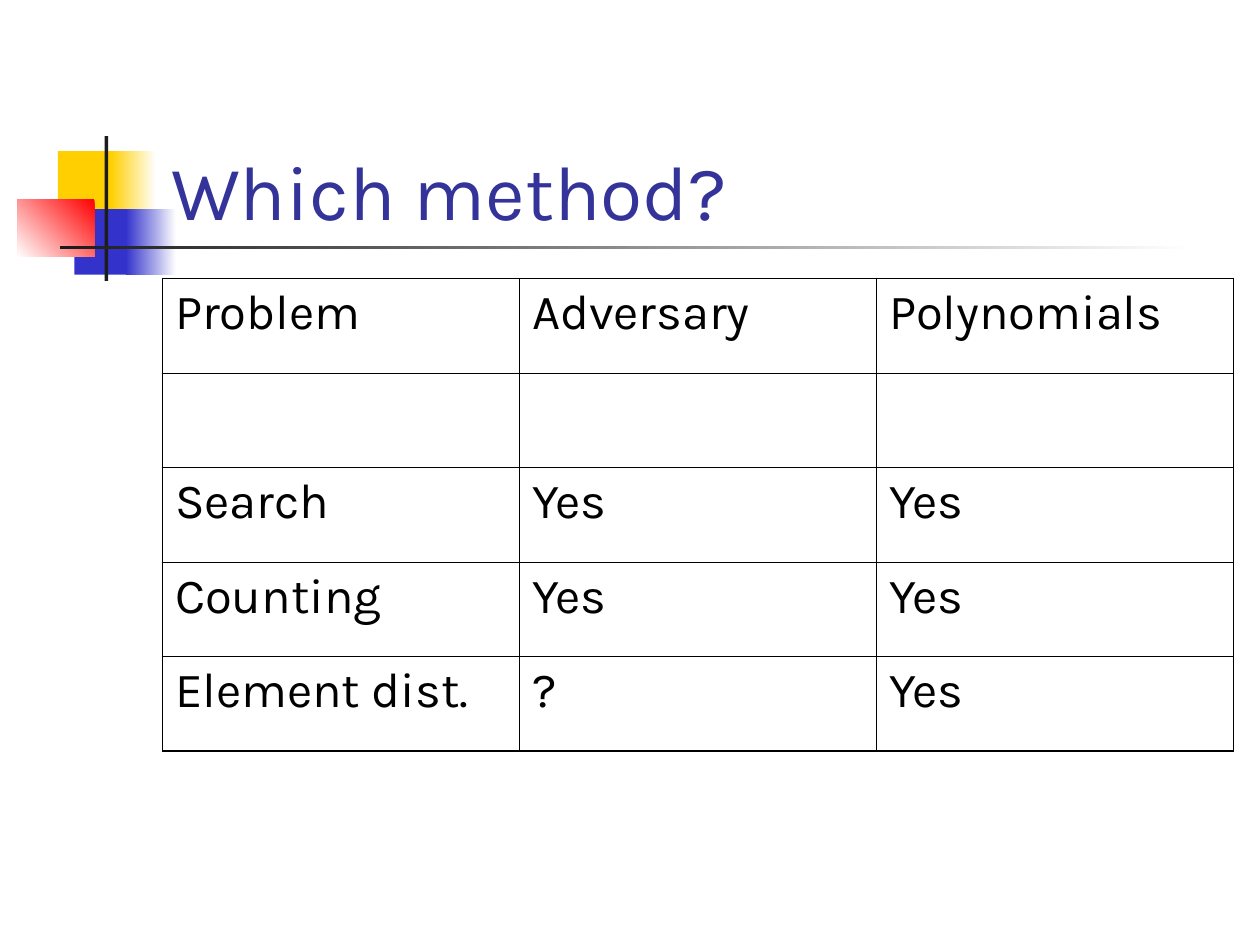
from lxml.etree import SubElement
from pptx import Presentation
from pptx.dml.color import RGBColor
from pptx.enum.shapes import MSO_SHAPE
from pptx.enum.text import MSO_ANCHOR
from pptx.oxml.ns import qn
from pptx.util import Inches, Pt

FONT = "Karla"
COLORS = {
    "white": "FFFFFF", "yellow": "FFCF01", "blue": "3333CC", "red": "FF0000",
    "charcoal": "1C1C1C", "title": "333399", "black": "000000",
}
TITLE = "Which method?"
METHODS = [
    ("Problem", "Adversary", "Polynomials"),
    ("", "", ""),
    ("Search", "Yes", "Yes"),
    ("Counting", "Yes", "Yes"),
    ("Element dist.", "?", "Yes"),
]
# left, top, width, height, start colour, end colour (None if solid),
# counter-clockwise gradient angle
ORNAMENTS = [
    (0.46, 1.2, 0.48, 0.52, "yellow", None, 0),
    (0.88, 1.2, 0.36, 0.52, "white", "yellow", 180),
    (0.59, 1.66, 0.46, 0.52, "blue", None, 0),
    (1, 1.66, 0.4, 0.52, "white", "blue", 180),
    (0.14, 1.58, 0.61, 0.46, "red", "white", 225),
    (0.83, 1.08, 0.03, 1.15, "charcoal", None, 0),
    (0.48, 1.95, 9, 0.03, "white", "charcoal", 180),
]
TABLE_LEFT, TABLE_TOP = 1.29, 2.21
COLUMN_WIDTH, ROW_HEIGHT = 8.5 / 3, 0.75
OUTER_BORDER, INNER_BORDER = 1.08, 0.45


def rgb(name):
    return RGBColor.from_string(COLORS[name])


def add_ornament(slide, left, top, width, height, start, end, angle):
    block = slide.shapes.add_shape(
        MSO_SHAPE.RECTANGLE, Inches(left), Inches(top), Inches(width), Inches(height))
    block.shadow.inherit = False
    block.line.fill.background()
    if end is None:
        block.fill.solid()
        block.fill.fore_color.rgb = rgb(start)
    else:
        block.fill.gradient()
        block.fill.gradient_angle = angle
        for stop, color in zip(block.fill.gradient_stops, (start, end)):
            stop.color.rgb = rgb(color)


def format_text(paragraph, size, color):
    for run in paragraph.runs:
        run.font.name = FONT
        run.font.size = Pt(size)
        run.font.color.rgb = rgb(color)


def add_title(slide):
    title = slide.shapes.add_textbox(Inches(1.26), Inches(0.67), Inches(8.52), Inches(1.25))
    frame = title.text_frame
    frame.word_wrap = True
    frame.vertical_anchor = MSO_ANCHOR.BOTTOM
    frame.text = TITLE
    format_text(frame.paragraphs[0], 44, "title")


def set_borders(cell, outer_sides):
    """Draw all four borders, heavier on the sides along the table's edge."""
    properties = cell._tc.get_or_add_tcPr()
    for index, side in enumerate("LRTB"):
        width = OUTER_BORDER if side in outer_sides else INNER_BORDER
        border = SubElement(properties, qn(f"a:ln{side}"), w=str(Pt(width)))
        fill = SubElement(border, qn("a:solidFill"))
        SubElement(fill, qn("a:srgbClr"), val=COLORS["black"])
        properties.insert(index, border)


def add_method_table(slide):
    row_count, column_count = len(METHODS), len(METHODS[0])
    table = slide.shapes.add_table(
        row_count, column_count, Inches(TABLE_LEFT), Inches(TABLE_TOP),
        Inches(COLUMN_WIDTH * column_count), Inches(ROW_HEIGHT * row_count)).table
    table.first_row = table.horz_banding = False
    for r, row in enumerate(METHODS):
        for c, text in enumerate(row):
            cell = table.cell(r, c)
            cell.fill.background()
            paragraph = cell.text_frame.paragraphs[0]
            if text:
                paragraph.text = text
                paragraph.space_before = Pt(7)
                format_text(paragraph, 28, "black")
            edges = {"L": c == 0, "R": c == column_count - 1,
                     "T": r == 0, "B": r == row_count - 1}
            set_borders(cell, [side for side, is_outer in edges.items() if is_outer])


def main():
    presentation = Presentation()
    presentation.slide_width, presentation.slide_height = Inches(10), Inches(7.5)
    slide = presentation.slides.add_slide(presentation.slide_layouts[6])
    slide.background.fill.solid()
    slide.background.fill.fore_color.rgb = rgb("white")
    for ornament in ORNAMENTS:
        add_ornament(slide, *ornament)
    add_title(slide)
    add_method_table(slide)
    presentation.save("out.pptx")


if __name__ == "__main__":
    main()
